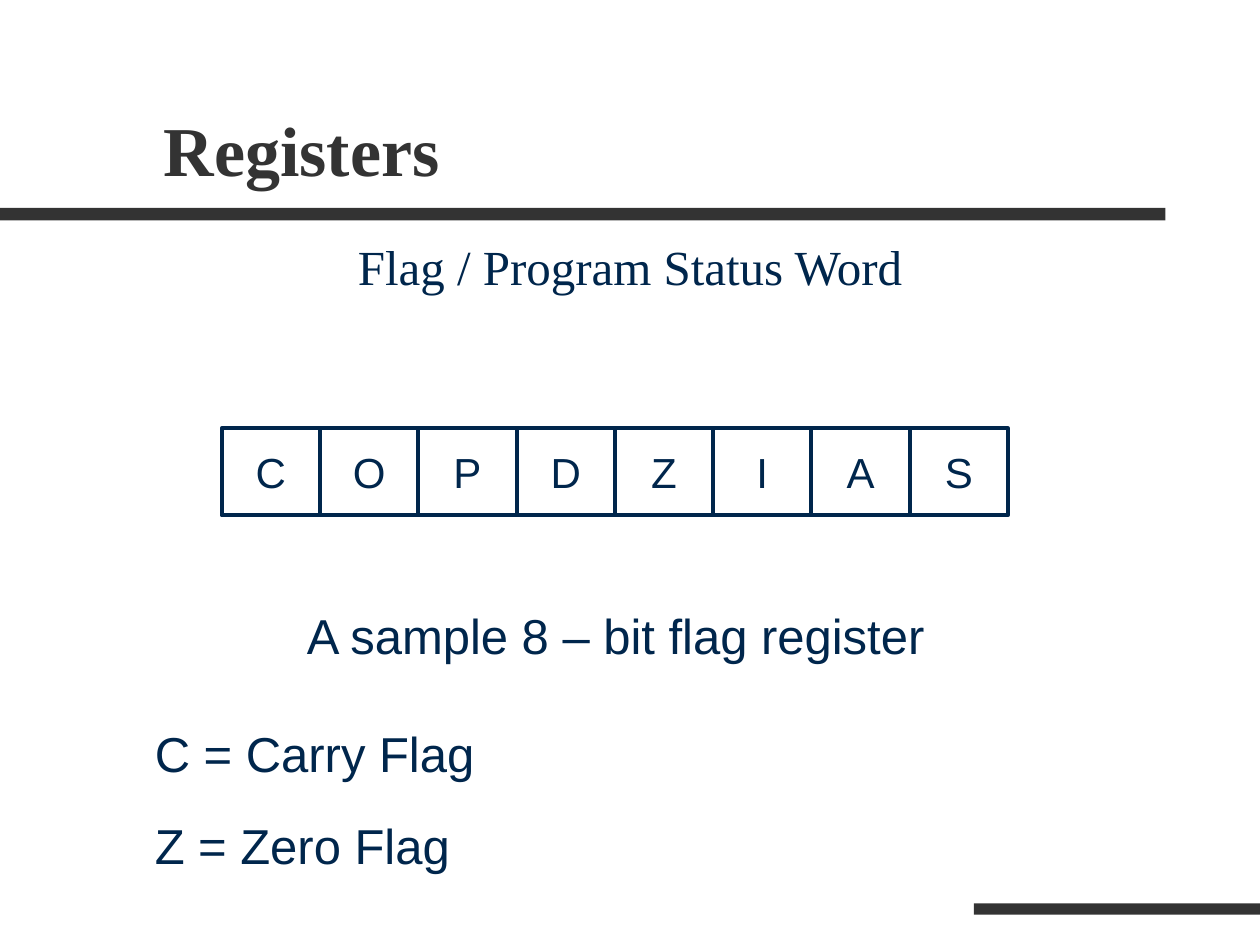
import pptx
import pptx.dml.color
import pptx.enum.shapes
import pptx.enum.text
import pptx.util

Inches = pptx.util.Inches
Pt = pptx.util.Pt
ALIGN = pptx.enum.text.PP_ALIGN
ANCHOR = pptx.enum.text.MSO_ANCHOR

NAVY = "00264C"
CHARCOAL = "333333"
SERIF = "Times New Roman"
SANS = "Arial"


def rgb(hex_color):
    return pptx.dml.color.RGBColor.from_string(hex_color)


class SlideBuilder:
    """Holds the text style and the slide being built."""

    def __init__(self, slide):
        self.slide = slide

    def style(self, paragraph, size, font=SANS, color=NAVY, align=ALIGN.LEFT, bold=False):
        paragraph.alignment = align
        paragraph.font.name = font
        paragraph.font.size = Pt(size)
        paragraph.font.bold = bold
        paragraph.font.color.rgb = rgb(color)

    def title(self, text, left, top, width, height):
        heading = self.slide.shapes.title
        heading.left, heading.top = Inches(left), Inches(top)
        heading.width, heading.height = Inches(width), Inches(height)
        frame = heading.text_frame
        frame.text = text
        frame.vertical_anchor = ANCHOR.BOTTOM
        self.style(frame.paragraphs[0], 40, SERIF, CHARCOAL, bold=True)

    def rectangle(self, left, top, width, height):
        shape = self.slide.shapes.add_shape(
            pptx.enum.shapes.MSO_SHAPE.RECTANGLE,
            Inches(left), Inches(top), Inches(width), Inches(height))
        shape.shadow.inherit = False
        return shape

    def bar(self, left, top, width, height):
        rule = self.rectangle(left, top, width, height)
        rule.fill.solid()
        rule.fill.fore_color.rgb = rgb(CHARCOAL)
        rule.line.fill.background()

    def bit(self, letter, left, top, width, height):
        cell = self.rectangle(left, top, width, height)
        cell.fill.background()
        cell.line.color.rgb = rgb(NAVY)
        cell.line.width = Pt(2.25)
        frame = cell.text_frame
        frame.word_wrap = False
        frame.vertical_anchor = ANCHOR.MIDDLE
        frame.text = letter
        self.style(frame.paragraphs[0], 24, align=ALIGN.CENTER)

    def text(self, lines, left, top, width, height, font=SANS, align=ALIGN.LEFT):
        box = self.slide.shapes.add_textbox(
            Inches(left), Inches(top), Inches(width), Inches(height))
        frame = box.text_frame
        frame.word_wrap = True
        frame.text = "\n".join(lines)
        for paragraph in frame.paragraphs:
            self.style(paragraph, 28, font, align=align)
        for paragraph in frame.paragraphs[1:]:
            paragraph.space_before = Pt(17.5)
            paragraph.line_spacing = 1.05


def main():
    deck = pptx.Presentation()
    deck.slide_width, deck.slide_height = Inches(10), Inches(7.5)
    title_only = deck.slide_layouts[5]
    builder = SlideBuilder(deck.slides.add_slide(title_only))

    builder.bar(0, 1.65, 9.25, 0.1)
    builder.bar(7.73, 7.17, 2.27, 0.09)
    builder.title("Registers", 1.2, 0.31, 8.5, 1.25)
    builder.text(["Flag / Program Status Word"], 0.75, 1.83, 8.5, 4.83, SERIF, ALIGN.CENTER)

    bit_width = 0.78
    for index, flag in enumerate("COPDZIAS"):
        builder.bit(flag, 1.76 + index * bit_width, 3.4, bit_width, 0.69)

    builder.text(["A sample 8 – bit flag register"], 1.74, 4.76, 6.29, 0.57, align=ALIGN.CENTER)
    builder.text(["C = Carry Flag", "Z = Zero Flag"], 1.13, 5.69, 2.85, 1.28)

    deck.save("out.pptx")


if __name__ == "__main__":
    main()
